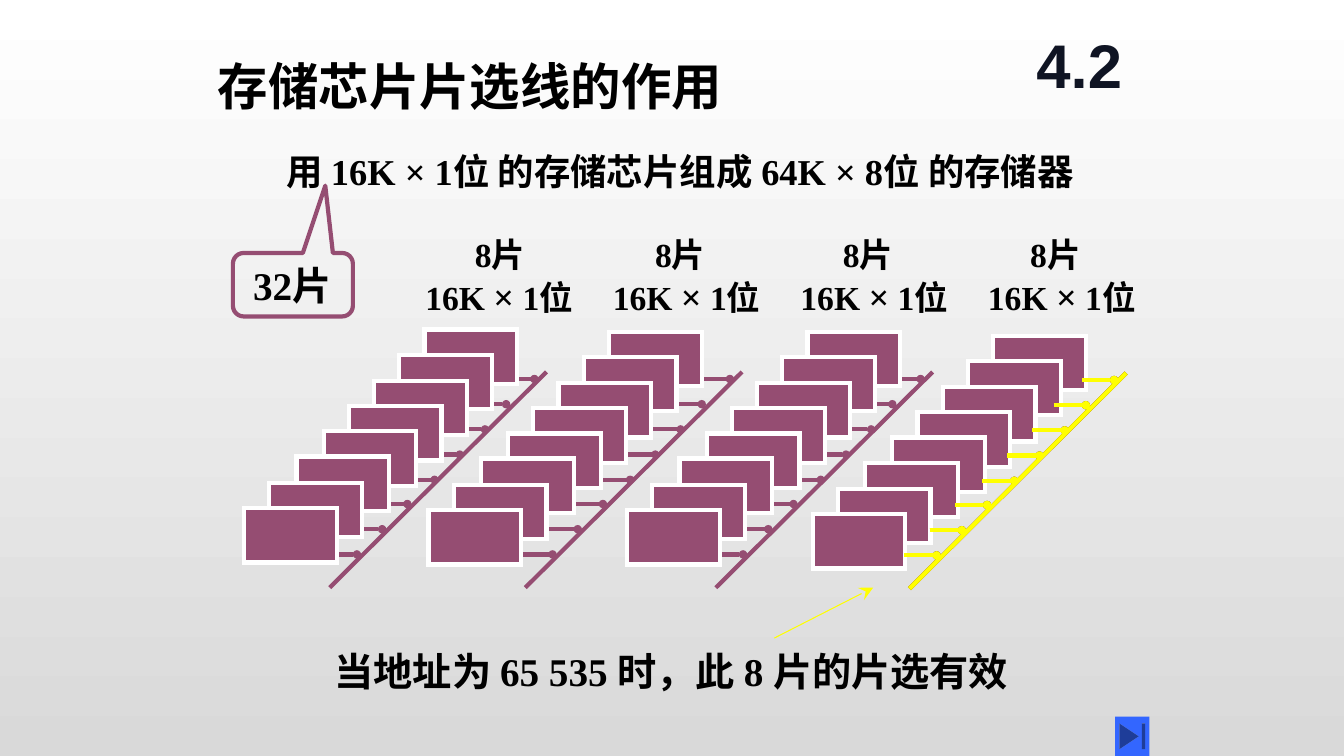
from dataclasses import dataclass

from lxml import etree
from pptx import Presentation
from pptx import util as u
from pptx.dml.color import RGBColor
from pptx.enum import shapes, text
from pptx.oxml import ns

SCALE = 9144  # EMU per px, 100 px to the inch
PLUM = RGBColor(0x95, 0x4D, 0x72)
GOLD = RGBColor(0xAA, 0x7D, 0x00)
YELLOW = RGBColor(0xFF, 0xFF, 0x00)
WHITE = RGBColor(0xFF, 0xFF, 0xFF)
GREY = RGBColor(0xD9, 0xD9, 0xD9)
BLACK = RGBColor(0x00, 0x00, 0x00)
NAVY = RGBColor(0x0F, 0x14, 0x23)
BLUE = RGBColor(0x33, 0x66, 0xFF)
SERIF = "Times New Roman"

CHIP_DX = (0, -25, -50, -75, -100, -127, -154, -179)
STUB_DX = (-44, -72, -93, -118, -143, -170, -195, -220)


@dataclass
class Box:
    x: int
    y: int
    w: int
    h: int

    def emu(self) -> list[u.Emu]:
        return [px(n) for n in (self.x, self.y, self.w, self.h)]


@dataclass
class Bus:
    x: int
    y: int
    color: RGBColor


@dataclass
class Label:
    box: Box
    indent: int


BANKS = ((421, 327), (604, 329), (801, 329), (985, 333))
BUSES = (Bus(925, 369, PLUM), Bus(736, 369, PLUM), Bus(542, 369, PLUM))
LAST = [Bus(1117, 370, color) for color in (PLUM, GOLD, YELLOW)]
LABELS = (
    Label(Box(412, 227, 221, 94), 49),
    Label(Box(598, 227, 210, 94), 42),
    Label(Box(784, 227, 182, 94), 42),
    Label(Box(970, 227, 196, 94), 42),
)


def px(n: int) -> u.Emu:
    return u.Emu(n * SCALE)


def style(para, size: int, color: RGBColor = BLACK, name: str = SERIF) -> None:
    font = para.font
    font.size, font.bold, font.name = u.Pt(size), True, name
    font.color.rgb = color


def place(shape, box: Box) -> None:
    shape.left, shape.top, shape.width, shape.height = box.emu()


def write(slide, box: Box, words: str, size: int,
          color: RGBColor = BLACK, name: str = SERIF):
    frame = slide.shapes.add_textbox(*box.emu()).text_frame
    frame.word_wrap = True
    frame.text = words
    style(frame.paragraphs[0], size, color, name)
    return frame


def wire(slide, x1: int, y1: int, x2: int, y2: int, color: RGBColor,
         width: float = 3, tip: str = "", scale: str = "sm") -> None:
    line = slide.shapes.add_connector(
        shapes.MSO_CONNECTOR.STRAIGHT, px(x1), px(y1), px(x2), px(y2))
    line.line.color.rgb = color
    line.line.width = u.Pt(width)
    if tip:
        etree.SubElement(line.line._get_or_add_ln(), ns.qn("a:tailEnd"),
                         type=tip, w=scale, len=scale)
    etree.SubElement(line._element.spPr, ns.qn("a:effectLst"))


def comb(slide, bus: Bus) -> None:
    """Draw a slanted select line with its eight stubs."""
    wire(slide, bus.x, bus.y, bus.x - 215, bus.y + 214, bus.color)
    for i, dx in enumerate(STUB_DX):
        x, y = bus.x + dx, bus.y + 7 + round(i * 24.9)
        wire(slide, x, y, x + 32, y, bus.color, tip="oval")


def bank(slide, x: int, y: int) -> None:
    """Draw a stack of eight chips, the furthest first."""
    for i, dx in enumerate(CHIP_DX):
        box = Box(x + dx, y + round(i * 25.3), 92, 54)
        chip = slide.shapes.add_shape(shapes.MSO_SHAPE.RECTANGLE, *box.emu())
        chip.shadow.inherit = False
        chip.fill.solid()
        chip.fill.fore_color.rgb = PLUM
        chip.line.color.rgb = WHITE
        chip.line.width = u.Pt(3)
        etree.SubElement(chip.line._get_or_add_ln(), ns.qn("a:miter"),
                         lim="800000")


def label(slide, item: Label) -> None:
    frame = write(slide, item.box, "8片", 24)
    first = frame.paragraphs[0]
    first._p.get_or_add_pPr().set("marL", str(px(item.indent)))
    para = frame.add_paragraph()
    style(para, 24)
    for part in ("16K ", "×", " 1位"):
        run = para.add_run()
        run.text = part
        if part == "×":
            run.font.size = u.Pt(26)


def callout(slide) -> None:
    shape = slide.shapes.add_shape(
        shapes.MSO_SHAPE.ROUNDED_RECTANGULAR_CALLOUT,
        *Box(231, 251, 119, 63).emu())
    for i, value in enumerate((0.27, -1.56, 0.17)):
        shape.adjustments[i] = value
    shape.shadow.inherit = False
    shape.fill.background()
    shape.line.color.rgb = PLUM
    shape.line.width = u.Pt(3)
    frame = shape.text_frame
    frame.margin_left, frame.margin_right = px(17), 0
    frame.vertical_anchor = text.MSO_ANCHOR.TOP
    frame.text = "32片"
    para = frame.paragraphs[0]
    para.alignment = text.PP_ALIGN.LEFT
    style(para, 28)


def main() -> None:
    deck = Presentation()
    deck.slide_width, deck.slide_height = px(1333), px(750)
    slide = deck.slides.add_slide(deck.slide_layouts[5])

    # Background
    fill = slide.background.fill
    fill.gradient()
    fill.gradient_angle = 270
    for stop, color in zip(fill.gradient_stops, (WHITE, GREY)):
        stop.color.rgb = color

    # Title and section number
    title = slide.shapes.title
    place(title, Box(206, 50, 600, 71))
    frame = title.text_frame
    frame.text = "存储芯片片选线的作用"
    frame.word_wrap = True
    frame.auto_size = text.MSO_AUTO_SIZE.NONE
    frame.vertical_anchor = text.MSO_ANCHOR.TOP
    frame.paragraphs[0].alignment = text.PP_ALIGN.LEFT
    style(frame.paragraphs[0], 36)
    number = write(slide, Box(1008, 17, 125, 92), "4.2", 44, NAVY, "Arial")
    number.vertical_anchor = text.MSO_ANCHOR.MIDDLE
    number.paragraphs[0].alignment = text.PP_ALIGN.CENTER

    # Task and chip count
    write(slide, Box(274, 143, 851, 54),
          "用 16K × 1位 的存储芯片组成 64K × 8位 的存储器", 26)
    callout(slide)

    # Chip banks and select lines
    for bus in BUSES:
        comb(slide, bus)
    for x, y in BANKS:
        bank(slide, x, y)
    for bus in LAST:
        comb(slide, bus)
    for item in LABELS:
        label(slide, item)

    # Remark on the selected bank
    write(slide, Box(322, 637, 720, 57),
          "当地址为 65 535 时，此 8 片的片选有效", 28)
    wire(slide, 768, 633, 866, 583, YELLOW, 0.75, "stealth", "lg")

    # Navigation button
    button = slide.shapes.add_shape(
        shapes.MSO_SHAPE.ACTION_BUTTON_END, *Box(1106, 711, 34, 39).emu())
    button.shadow.inherit = False
    button.fill.solid()
    button.fill.fore_color.rgb = BLUE
    button.line.fill.background()

    deck.save("out.pptx")


if __name__ == "__main__":
    main()
